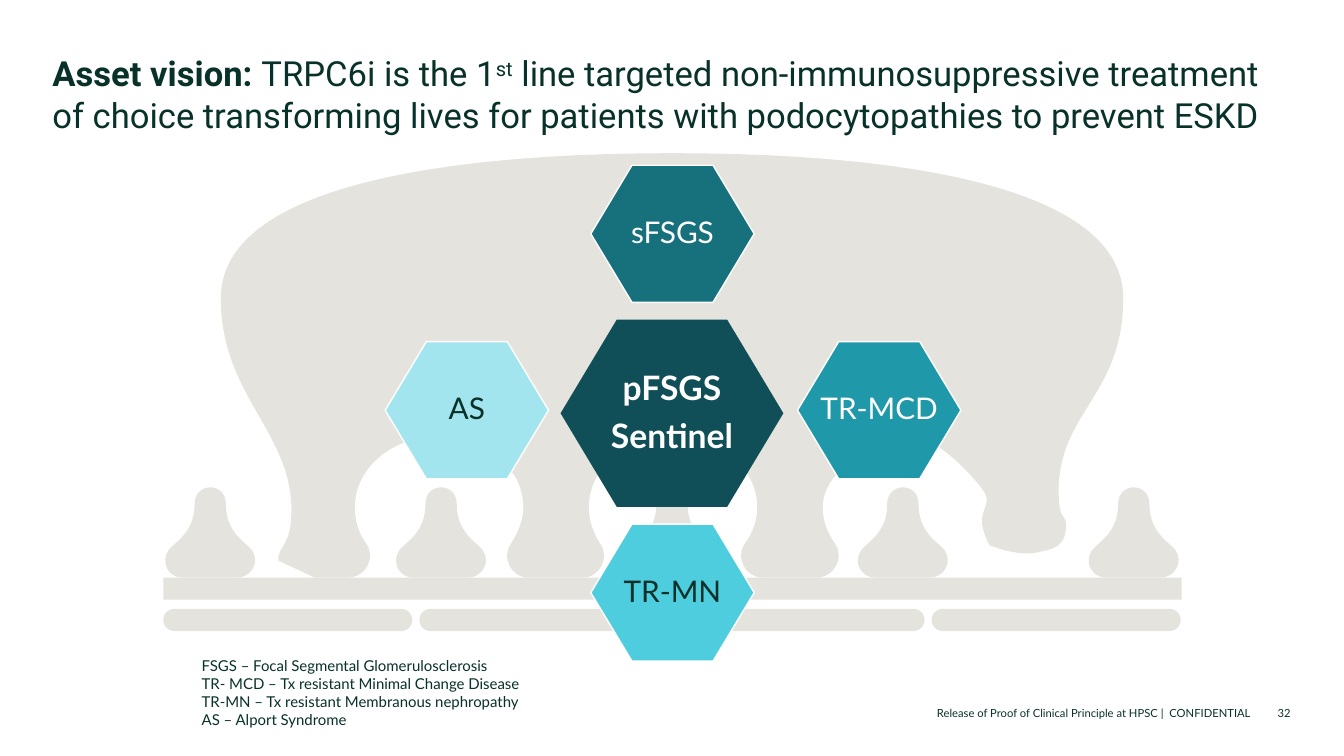
from dataclasses import dataclass

from pptx import Presentation
from pptx.dml.color import RGBColor
from pptx.enum.shapes import MSO_SHAPE
from pptx.enum.text import MSO_ANCHOR, PP_ALIGN
from pptx.oxml.xmlchemy import OxmlElement
from pptx.util import Pt

SCALE = 9144
HUES = {
    "ink": "08312A", "white": "FFFFFF", "sand": "E5E3DE", "core": "104F58",
    "deep": "17717D", "teal": "1F99A9", "aqua": "4ECDDE", "pale": "A3E5EE",
}


@dataclass
class Box:
    left: int
    top: int
    width: int
    height: int

    def emu(self) -> list[int]:
        return [px * SCALE for px in (self.left, self.top, self.width, self.height)]


@dataclass
class Run:
    text: str
    size: float
    face: str = "Lato"
    hue: str = "ink"
    bold: bool = False
    raised: bool = False


@dataclass
class Cell:
    box: Box
    fill: str
    lines: list[str]
    hue: str = "white"
    size: float = 21.3
    bold: bool = False
    edge: bool = True


@dataclass
class Note:
    box: Box
    lines: list[list[Run]]
    anchor: MSO_ANCHOR = MSO_ANCHOR.BOTTOM
    align: PP_ALIGN = PP_ALIGN.LEFT
    inset: tuple[int, int, int, int] = (0, 0, 0, 0)
    after: float = 0


FOOT = [
    (193, 500), (193, 529, 173, 538, 167, 546), (159, 558, 167, 573, 181, 573),
    (235, 573), (249, 573, 258, 558, 250, 546), (244, 538, 224, 529, 224, 500),
    (224, 478, 193, 478, 193, 500),
]
DOME = [
    (1114, 296), (1114, 160, 785, 152, 667, 152), (666, 152),
    (548, 152, 219, 160, 219, 296), (219, 392, 289, 428, 289, 506),
    (289, 543, 276, 540, 276, 556), (312, 573), (345, 573),
    (363, 573, 373, 553, 363, 539), (355, 528, 352, 516, 352, 503),
    (352, 464, 389, 433, 435, 433), (481, 433, 519, 464, 519, 503),
    (519, 516, 514, 528, 507, 539), (497, 553, 507, 573, 524, 573),
    (578, 573), (595, 573, 605, 553, 595, 539), (588, 528, 584, 516, 584, 503),
    (584, 464, 621, 433, 667, 433), (714, 433, 751, 464, 751, 503),
    (751, 516, 747, 528, 739, 539), (729, 553, 739, 573, 757, 573),
    (810, 573), (827, 573, 838, 553, 828, 539), (820, 528, 816, 516, 816, 503),
    (816, 464, 873, 436, 900, 433), (926, 430, 962, 469, 974, 485),
    (987, 501, 968, 505, 976, 528), (982, 546, 982, 540, 990, 544),
    (999, 547, 1017, 551, 1029, 548), (1040, 545, 1055, 545, 1057, 526),
    (1059, 505, 1050, 523, 1050, 487), (1050, 409, 1114, 392, 1114, 296),
]
CELLS = [
    Cell(Box(556, 317, 221, 186), "core", ["pFSGS", "Sentinel"], size=24, bold=True, edge=False),
    Cell(Box(586, 164, 162, 136), "deep", ["sFSGS"]),
    Cell(Box(586, 520, 162, 136), "aqua", ["TR-MN"], "ink"),
    Cell(Box(791, 339, 162, 136), "teal", ["TR-MCD"]),
    Cell(Box(382, 339, 162, 136), "pale", ["AS"], "ink"),
]
TERMS = [
    "FSGS – Focal Segmental Glomerulosclerosis",
    "TR- MCD – Tx resistant Minimal Change Disease",
    "TR-MN – Tx resistant Membranous nephropathy",
    "AS – Alport Syndrome",
]
TITLE = [
    Run("Asset vision: ", 24.7, "Roboto", bold=True),
    Run("TRPC6i is the 1", 24.7, "Roboto"),
    Run("st", 24.7, "Roboto", raised=True),
    Run(" line targeted non-immunosuppressive treatment of choice transforming lives "
        "for patients with podocytopathies to prevent ESKD", 24.7, "Roboto"),
]
FOOTER = "Release of Proof of Clinical Principle at HPSC |  CONFIDENTIAL"
NOTES = [
    Note(Box(52, 52, 1228, 79), [TITLE], MSO_ANCHOR.TOP),
    Note(Box(690, 683, 551, 31), [[Run(FOOTER, 8)]], align=PP_ALIGN.RIGHT, after=3),
    Note(Box(0, 646, 915, 104), [[Run(term, 10.7)] for term in TERMS], inset=(200, 5, 10, 27)),
    Note(Box(1249, 683, 31, 31), [[Run("32", 8)]], align=PP_ALIGN.RIGHT),
]


def tint(hue: str) -> RGBColor:
    return RGBColor.from_string(HUES[hue])


def paint(shape, fill: str, edge: bool = False) -> None:
    shape.shadow.inherit = False
    shape.fill.solid()
    shape.fill.fore_color.rgb = tint(fill)
    if edge:
        shape.line.color.rgb = tint("white")
        shape.line.width = Pt(1)
    else:
        shape.line.fill.background()


def add_run(para, part: Run) -> None:
    run = para.add_run()
    run.text = part.text
    font = run.font
    font.name, font.size, font.bold = part.face, Pt(part.size), part.bold
    font.color.rgb = tint(part.hue)
    if part.raised:
        font._element.set("baseline", "30000")


def write(frame, lines: list[list[Run]], anchor: MSO_ANCHOR, align: PP_ALIGN,
          inset: tuple[int, int, int, int], after: float, lead: float = 1.0) -> None:
    frame.vertical_anchor = anchor
    (frame.margin_left, frame.margin_top,
     frame.margin_right, frame.margin_bottom) = [px * SCALE for px in inset]
    for row, line in enumerate(lines):
        para = frame.add_paragraph() if row else frame.paragraphs[0]
        para.alignment, para.line_spacing = align, lead
        para.space_after = Pt(after)
        for part in line:
            add_run(para, part)


def add_bar(slide, kind: MSO_SHAPE, box: Box) -> None:
    bar = slide.shapes.add_shape(kind, *box.emu())
    paint(bar, "sand")
    if kind == MSO_SHAPE.ROUNDED_RECTANGLE:
        bar.adjustments[0] = 0.5


def bend(shape, route: list[tuple[int, ...]]) -> None:
    lines = iter(shape._element.xpath(".//a:lnTo"))
    for leg in route[1:]:
        group = [next(lines) for _ in range(len(leg) // 2)]
        if len(group) == 1:
            continue
        curve = OxmlElement("a:cubicBezTo")
        group[0].addprevious(curve)
        for line in group:
            curve.append(line[0])
            line.getparent().remove(line)


def add_blob(slide, route: list[tuple[int, ...]], shift: int = 0) -> None:
    start, *rest = [(x + shift, y) for leg in route for x, y in zip(leg[::2], leg[1::2])]
    form = slide.shapes.build_freeform(*start, scale=SCALE)
    form.add_line_segments(rest, close=True)
    blob = form.convert_to_shape()
    bend(blob, route)
    paint(blob, "sand")


def add_cell(slide, cell: Cell) -> None:
    shape = slide.shapes.add_shape(MSO_SHAPE.HEXAGON, *cell.box.emu())
    shape.adjustments[0] = 0.3
    paint(shape, cell.fill, cell.edge)
    shape.text_frame.word_wrap = False
    lines = [[Run(text, cell.size, hue=cell.hue, bold=cell.bold)] for text in cell.lines]
    write(shape.text_frame, lines, MSO_ANCHOR.MIDDLE, PP_ALIGN.CENTER,
          (0, 0, 0, 0), round(cell.size * 0.35, 1), 0.9)


def add_note(slide, note: Note) -> None:
    frame = slide.shapes.add_textbox(*note.box.emu()).text_frame
    frame.word_wrap = True
    write(frame, note.lines, note.anchor, note.align, note.inset, note.after)


def main() -> None:
    deck = Presentation()
    deck.slide_width, deck.slide_height = 1333 * SCALE, 750 * SCALE
    slide = deck.slides.add_slide(deck.slide_layouts[6])
    add_bar(slide, MSO_SHAPE.RECTANGLE, Box(162, 573, 1010, 22))
    for col in range(4):
        add_bar(slide, MSO_SHAPE.ROUNDED_RECTANGLE, Box(162 + 254 * col, 604, 247, 22))
    add_blob(slide, DOME)
    for col in range(5):
        add_blob(slide, FOOT, 229 * col)
    for cell in CELLS:
        add_cell(slide, cell)
    for note in NOTES:
        add_note(slide, note)
    deck.save("out.pptx")


if __name__ == "__main__":
    main()
